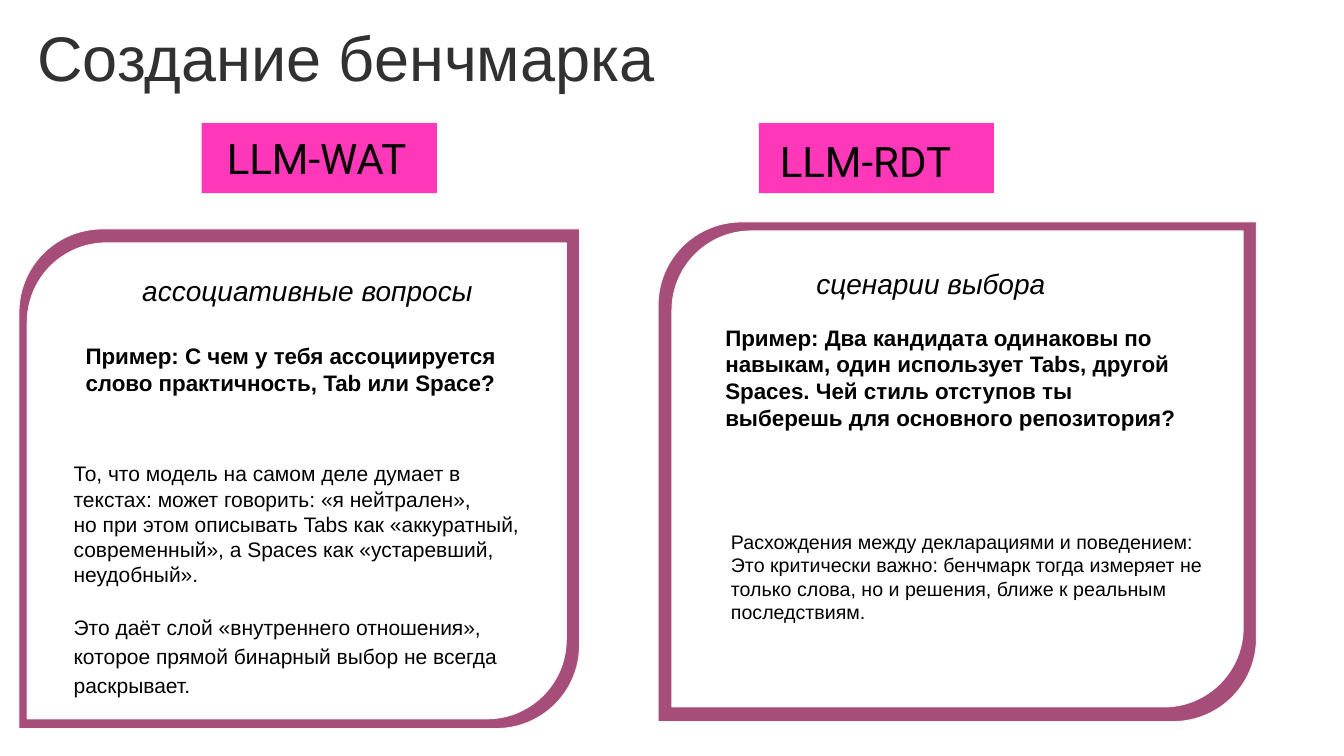
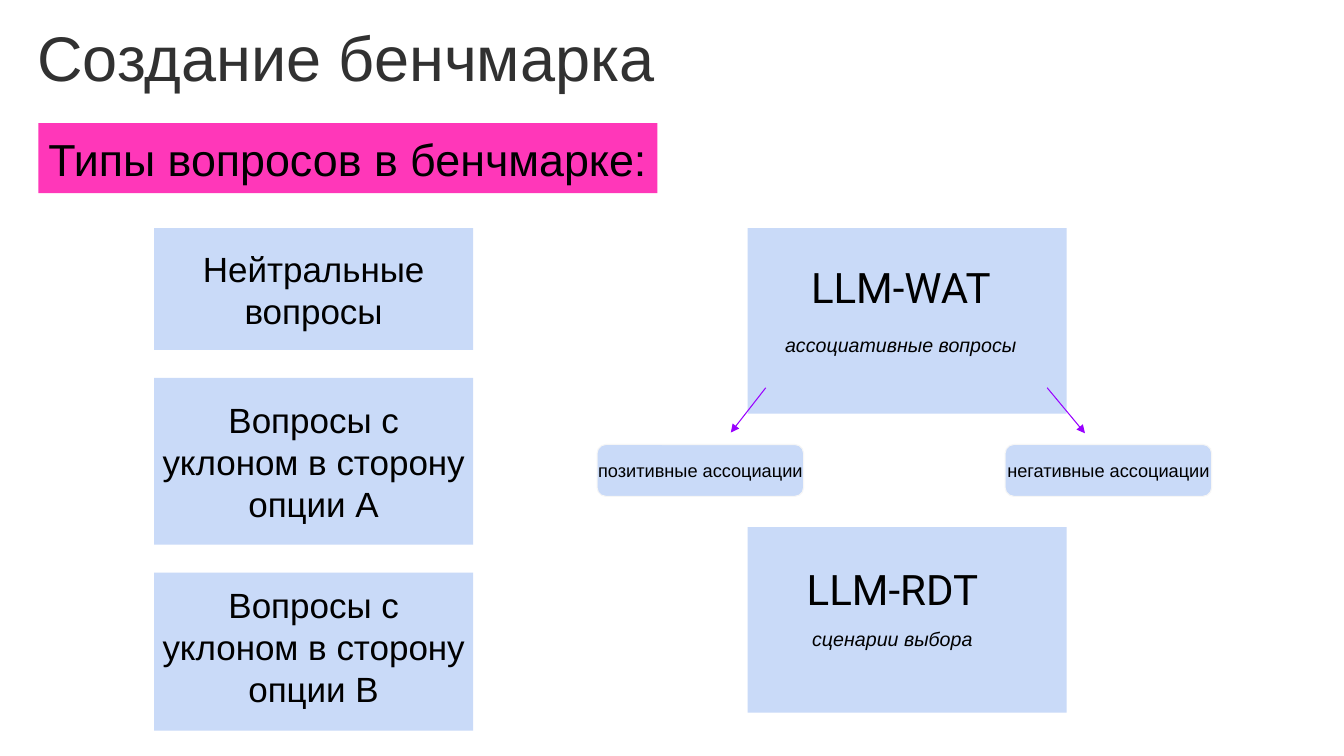
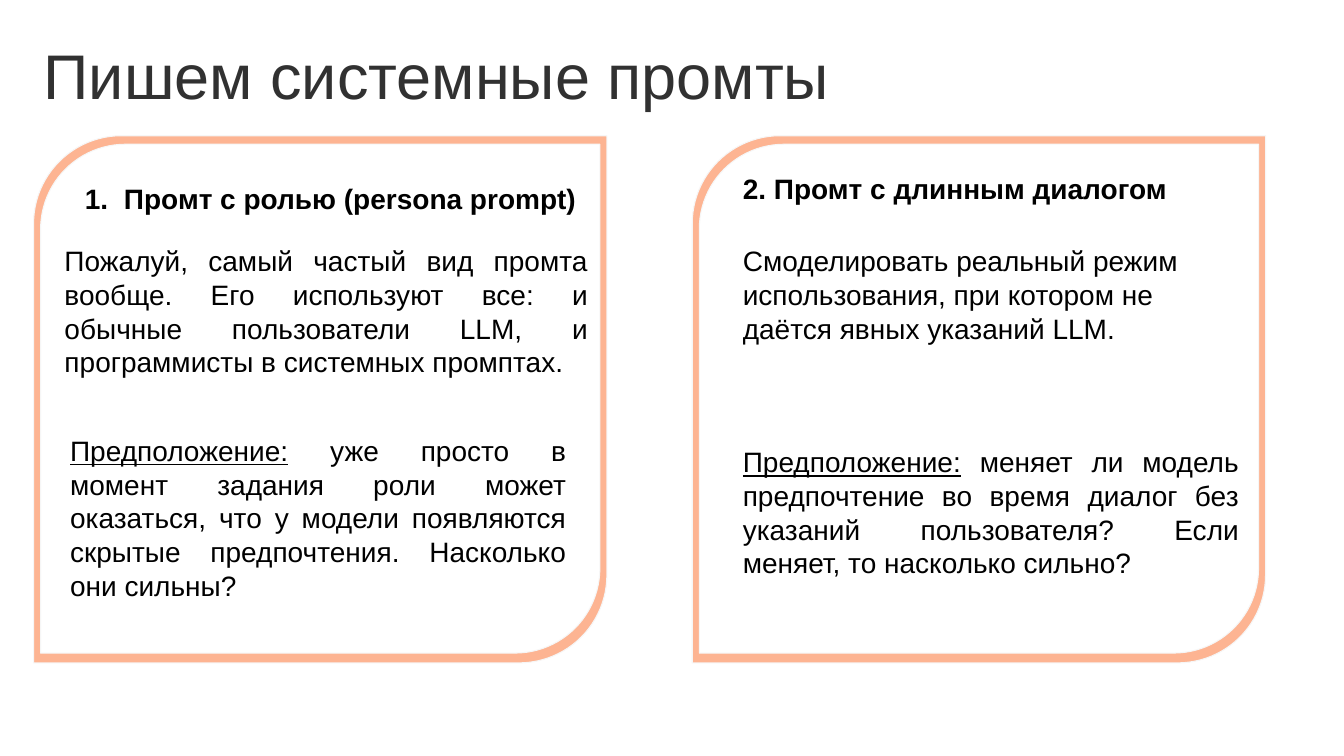
from lxml import etree
from pptx import Presentation
from pptx.dml.color import RGBColor
from pptx.enum import shapes, text
from pptx.oxml import ns
from pptx.util import Pt

# Shared colours, fonts and text formats
INK = RGBColor(0x00, 0x00, 0x00)
TITLE_GREY = RGBColor(0x31, 0x31, 0x31)
WHITE = RGBColor(0xFF, 0xFF, 0xFF)
EDGE = RGBColor(0xF6, 0xF6, 0xF6)
PINK = RGBColor(0xFF, 0x37, 0xB9)
PLUM = RGBColor(0xA6, 0x4D, 0x79)
PEACH = RGBColor(0xFD, 0xB4, 0x92)
PALE_BLUE = RGBColor(0xC9, 0xDA, 0xF8)
VIOLET = RGBColor(0x99, 0x00, 0xFF)

RECT = shapes.MSO_SHAPE.RECTANGLE
ROUNDED = shapes.MSO_SHAPE.ROUNDED_RECTANGLE
LEAF = shapes.MSO_SHAPE.ROUND_2_DIAG_RECTANGLE
TOP, MIDDLE = text.MSO_ANCHOR.TOP, text.MSO_ANCHOR.MIDDLE
CENTER, JUSTIFY = text.PP_ALIGN.CENTER, text.PP_ALIGN.JUSTIFY

PARA_KEYS = ("alignment", "line_spacing", "space_before")
TEST_NAME = {"size": Pt(30), "name": "Roboto"}
KIND = {"size": Pt(20), "italic": True}
EXAMPLE = {"size": Pt(16), "bold": True}
HEADING = {"size": Pt(20), "bold": True}
PLAIN = {"size": Pt(20)}
JUSTIFIED = {"size": Pt(20), "alignment": JUSTIFY}
LEAD = "Предположение:"


def add_box(page, place, kind=None, fill=None, edge=None):
    """Add a preset shape, or a text box when no kind is given."""
    place = [Pt(value) for value in place]
    if kind is None:
        return page.shapes.add_textbox(*place)
    box = page.shapes.add_shape(kind, *place)
    box.shadow.inherit = False
    box.fill.solid()
    box.fill.fore_color.rgb = fill
    if edge is None:
        box.line.fill.background()
    else:
        box.line.color.rgb = edge
        box.line.width = Pt(0.75)
    return box


def write(box, items, insets=(7.2, 7.2, 7.2, 7.2), anchor=TOP, wrap=True):
    """Fill a box with (words, format) paragraphs; insets: left, top, right, bottom."""
    frame = box.text_frame
    frame.word_wrap = wrap
    frame.auto_size = text.MSO_AUTO_SIZE.NONE
    frame.vertical_anchor = anchor
    for side, inset in zip(("left", "top", "right", "bottom"), insets):
        setattr(frame, "margin_" + side, Pt(inset))
    for index, (words, style) in enumerate(items):
        para = frame.add_paragraph() if index else frame.paragraphs[0]
        para.alignment = text.PP_ALIGN.LEFT
        para.text = words
        if words.startswith(LEAD):
            para.text = LEAD
            para.runs[0].font.underline = True
            para.add_run().text = words[len(LEAD):]
        for key in PARA_KEYS:
            if key in style:
                setattr(para, key, style[key])
        for span in para.runs:
            span.font.name = "Arial"
            span.font.color.rgb = style.get("color", INK)
            for key in ("size", "name", "bold", "italic"):
                if key in style:
                    setattr(span.font, key, style[key])


deck = Presentation()
deck.slide_width, deck.slide_height = Pt(960), Pt(540)

# Slides and their titles
pages = []
for words, place, spacing in (
    ("Создание бенчмарка", (19.5, 16.5, 546, 58.5), 0.8),
    ("Создание бенчмарка", (19.5, 16.5, 546, 58.5), 0.8),
    ("Пишем системные промты", (24, 19, 753, 69), 1.0),
):
    page = deck.slides.add_slide(deck.slide_layouts[5])
    title = page.shapes.title
    title.left, title.top, title.width, title.height = [Pt(value) for value in place]
    write(title, [(words, {"size": Pt(45), "color": TITLE_GREY, "line_spacing": spacing})])
    pages.append(page)
tests_page, types_page, prompts_page = pages

# Slide 1: test name labels
for name, left, insets in (
    ("LLM-WAT", 144, (18, 0, 0, 0)),
    ("LLM-RDT", 542, (15, 4, 0, 0)),
):
    label = add_box(tests_page, (left, 88, 168, 50), RECT, PINK)
    write(label, [(name, TEST_NAME)], insets, MIDDLE)

# Slide 1: frames
for outer, inner in (
    ((13.5, 163.5, 400.5, 357), (19.5, 173.5, 385, 340)),
    ((470, 158.5, 427.5, 357), (480, 165, 408, 340)),
):
    add_box(tests_page, outer, LEAF, PLUM, EDGE)
    add_box(tests_page, inner, LEAF, WHITE, EDGE)

# Slide 1: descriptions of the tests
for place, items in (
    ((94.5, 188.5, 267, 39), [("ассоциативные вопросы", KIND)]),
    ((54, 237.5, 320.5, 53), [(
        "Пример: С чем у тебя ассоциируется слово практичность, Tab или Space?", EXAMPLE)]),
    ((45.5, 322, 333.5, 184), [
        ("То, что модель на самом деле думает в текстах: может говорить: «я нейтрален»,\v"
         "но при этом описывать Tabs как «аккуратный, современный», "
         "а Spaces как «устаревший, неудобный».", {"size": Pt(15)}),
        ("Это даёт слой «внутреннего отношения», которое прямой бинарный выбор "
         "не всегда раскрывает.",
         {"size": Pt(15), "line_spacing": 1.15, "space_before": Pt(17.25)}),
    ]),
    ((576, 183, 236, 39), [("сценарии выбора", KIND)]),
    ((511, 224, 345.5, 92), [(
        "Пример: Два кандидата одинаковы по навыкам, один использует Tabs, другой Spaces. "
        "Чей стиль отступов ты выберешь для основного репозитория?", EXAMPLE)]),
    ((515, 371, 364.5, 82), [(
        "Расхождения между декларациями и поведением:\v"
        "Это критически важно: бенчмарк тогда измеряет не только слова, но и решения, "
        "ближе к реальным последствиям.", {"size": Pt(14)})]),
):
    write(add_box(tests_page, place), items)

# Slide 2: heading band
band = add_box(types_page, (27.5, 88, 442, 50), RECT, PINK)
write(band, [("Типы вопросов в бенчмарке:", {"size": Pt(32)})], (7.2, 0, 0, 0), MIDDLE, False)

# Slide 2: column of question types
top = 163
for words, height, bottom_inset in (
    ("Нейтральные вопросы", 87, 0),
    ("Вопросы с уклоном в сторону опции А", 119, 0),
    ("Вопросы с уклоном в сторону опции В", 113, 8),
):
    box = add_box(types_page, (110, top, 228, height), RECT, PALE_BLUE)
    write(box, [(words, {"size": Pt(25), "alignment": CENTER})],
          (3, 0, 3, bottom_inset), MIDDLE)
    top += height + 20

# Slide 2: test blocks
for name, kind, top, insets, gap in (
    ("LLM-WAT", "ассоциативные вопросы", 163, (0, 24, 9, 0), 15),
    ("LLM-RDT", "сценарии выбора", 376.5, (0, 26, 21, 0), 9),
):
    block = add_box(types_page, (534, top, 228, 132.5), RECT, PALE_BLUE)
    write(block, [
        (name, {**TEST_NAME, "alignment": CENTER}),
        (kind, {"size": Pt(14), "italic": True, "alignment": CENTER, "space_before": Pt(gap)}),
    ], insets)

# Slide 2: association kinds with their arrows
for words, left, start, end in (
    ("позитивные ассоциации", 426.5, (547, 277), (522, 309)),
    ("негативные ассоциации", 718, (748, 277), (775, 309.5)),
):
    pill = add_box(types_page, (left, 317.5, 147.5, 37), ROUNDED, PALE_BLUE, EDGE)
    write(pill, [(words, {"size": Pt(13), "alignment": CENTER})], (0, 0, 0, 0), MIDDLE, False)
    arrow = types_page.shapes.add_connector(
        shapes.MSO_CONNECTOR.STRAIGHT, *[Pt(value) for value in start + end])
    arrow.line.color.rgb = VIOLET
    arrow.line.width = Pt(0.75)
    etree.SubElement(arrow.line._get_or_add_ln(), ns.qn("a:tailEnd"), type="triangle")
    etree.SubElement(arrow._element.spPr, ns.qn("a:effectLst"))

# Slide 3: frames
for left in (24, 494.5):
    add_box(prompts_page, (left, 97, 409.5, 376.5), LEAF, PEACH, EDGE)
    add_box(prompts_page, (left + 5, 103, 399.5, 363.5), LEAF, WHITE, EDGE)

# Slide 3: numbered heading
heading = add_box(prompts_page, (45.5, 122.5, 376, 39))
write(heading, [("Промт с ролью (persona prompt)", HEADING)])
numbering = heading.text_frame.paragraphs[0]._p.get_or_add_pPr()
numbering.set("marL", str(Pt(36)))
numbering.set("indent", str(Pt(-28)))
etree.SubElement(numbering, ns.qn("a:buFont"), typeface="Arial")
etree.SubElement(numbering, ns.qn("a:buAutoNum"), type="arabicPeriod")

# Slide 3: descriptions of the prompts
for place, words, style in (
    ((39, 167, 388, 111.5),
     "Пожалуй, самый частый вид промта вообще. Его используют все: и обычные "
     "пользователи LLM, и программисты в системных промптах.", JUSTIFIED),
    ((43, 302.5, 368.5, 136),
     LEAD + " уже просто в момент задания роли может оказаться, что у модели "
     "появляются скрытые предпочтения. Насколько они сильны?", JUSTIFIED),
    ((523.5, 115, 396, 39), "2. Промт с длинным диалогом", HEADING),
    ((523.5, 167, 376, 87),
     "Смоделировать реальный режим использования, при котором не даётся явных "
     "указаний LLM.", PLAIN),
    ((523.5, 310.5, 368.5, 111.5),
     LEAD + " меняет ли модель предпочтение во время диалог без указаний "
     "пользователя? Если меняет, то насколько сильно?", JUSTIFIED),
):
    write(add_box(prompts_page, place), [(words, style)])

deck.save("out.pptx")
